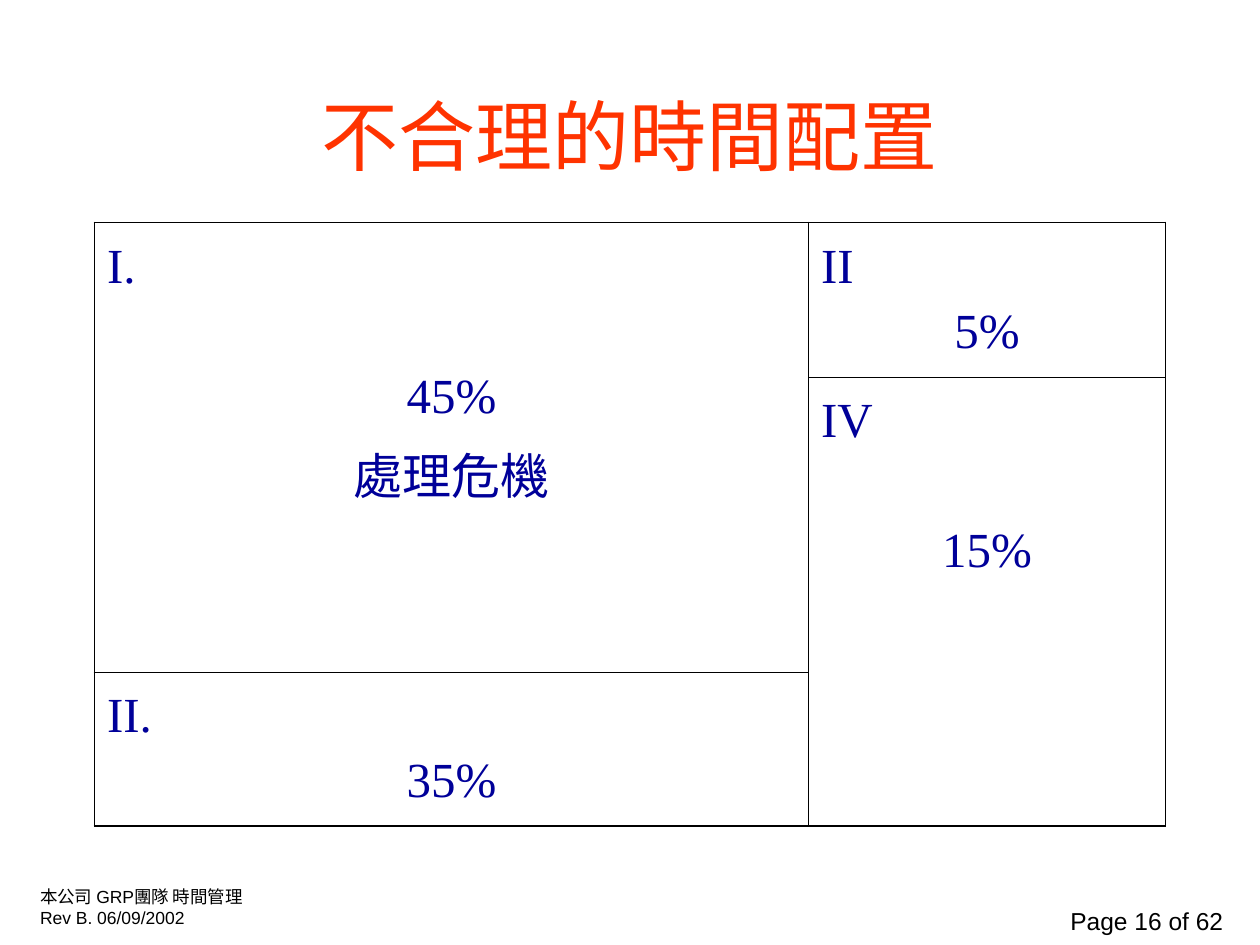
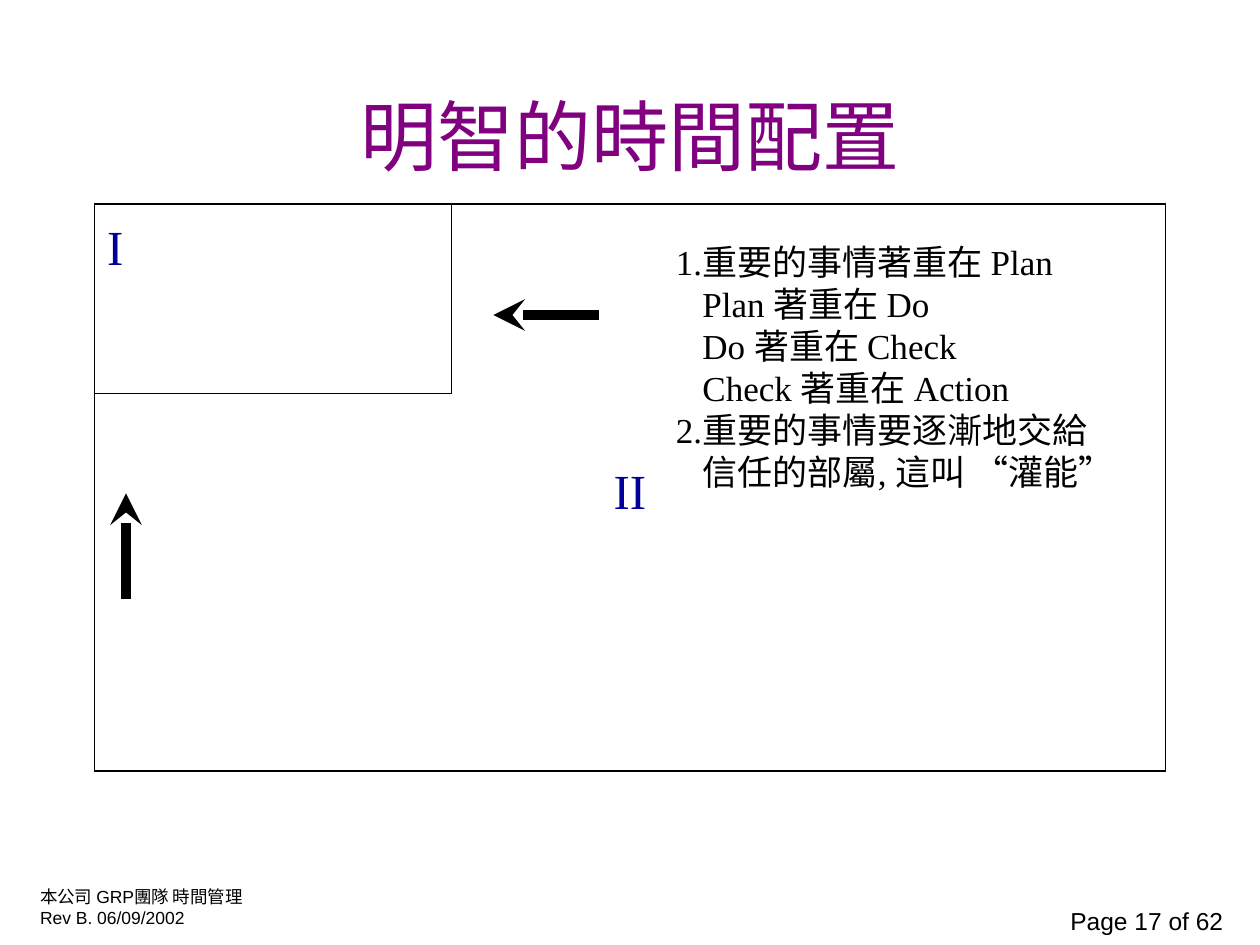
from lxml import etree
from pptx import Presentation, util as u
from pptx.dml.color import RGBColor
from pptx.enum import shapes, text
from pptx.oxml.ns import qn

deck = Presentation()
deck.slide_width, deck.slide_height = u.Inches(10), u.Inches(7.5)
unit = deck.slide_width / 120
left, wide = 9, 102
mid, right = text.PP_ALIGN.CENTER, text.PP_ALIGN.RIGHT
black, navy = "000000", "000099"
serif, sans = "Times New Roman", "Arial"
label = dict(size=28, name=serif, hue=navy)
gap = dict(space_before=u.Pt(37))
plain = "{2D5ABB26-0587-4C30-8999-92F81FD0307C}"


def hue(code):
    return RGBColor.from_string(code)


def write(frame, lines, size, name, hue_code=black, indent=0, **form):
    for i, (words, extra) in enumerate(lines):
        para = frame.paragraphs[0] if i == 0 else frame.add_paragraph()
        para.text = words
        look = {**form, **extra}
        shift = look.pop("shift", 0)
        if shift:
            para._p.get_or_add_pPr().set("marL", str(u.Inches(shift)))
        for key, val in look.items():
            setattr(para, key, val)
        para.font.size, para.font.name = u.Pt(size), name
        para.font.color.rgb = hue(hue_code)


center = dict(alignment=mid)
push = dict(shift=0.21)
notes = [
    ("1.重要的事情著重在 Plan", {}),
    ("Plan 著重在 Do", push),
    ("Do 著重在 Check", push),
    ("Check 著重在 Action", push),
    ("2.重要的事情要逐漸地交給", {}),
    ("信任的部屬, 這叫 “灌能”", push),
]

plans = [
    dict(page=16, title="不合理的時間配置", tint="FF3300", top=21.2,
         cols=[68, 34], rows=[14.7, 28.1, 14.7], zones=["AB", "AD", "CD"],
         spans=[(0, 0, 1, 0), (1, 1, 2, 1)],
         cells={(0, 0): [("I.", {}), ("45%", {**center, **gap}), ("處理危機", center)],
                (0, 1): [("II", {}), ("5%", center)],
                (1, 1): [("IV", {}), ("15%", {**center, **gap})],
                (2, 0): [("II.", {}), ("35%", center)]},
         arrows=[], boxes=[]),
    dict(page=17, title="明智的時間配置", tint="800080", top=19.45,
         cols=[wide / 3] * 3, rows=[18] * 3, zones=["ABB", "BBB", "BBB"],
         spans=[],
         cells={(0, 0): [("I", {})], (1, 1): [("II", center)]},
         arrows=[(12, 57, 12, 47), (57, 30, 47, 30)],
         boxes=[((63.2, 22.3, 46.4, 25.2), notes, 20, serif, black, False, {})]),
]

for plan in plans:
    slide = deck.slides.add_slide(deck.slide_layouts[6])
    foot = [("本公司 GRP團隊 時間管理", {}), ("Rev B. 06/09/2002", {})]
    frames = [
        ((100.7, 85.7, 17, 4), [(f"Page {plan['page']} of 62", {})], 14, sans, black, False, dict(alignment=right)),
        ((2.64, 83.8, 22.6, 5.3), foot, 10, sans, black, False, {}),
        ((left, 5.3, wide, 15), [(plan["title"], {})], 44, serif, plan["tint"], True, center),
    ]
    for spot, lines, size, name, tint, wrap, form in frames:
        frame = slide.shapes.add_textbox(*[round(v * unit) for v in spot]).text_frame
        frame.word_wrap = wrap
        if wrap:
            frame.vertical_anchor = text.MSO_ANCHOR.MIDDLE
        write(frame, lines, size, name, tint, **form)

    cols, rows, zones = plan["cols"], plan["rows"], plan["zones"]
    spot = (left, plan["top"], sum(cols), sum(rows))
    grid = slide.shapes.add_table(len(rows), len(cols), *[round(v * unit) for v in spot]).table
    grid.first_row = grid.horz_banding = False
    grid._tbl.tblPr.find(qn("a:tableStyleId")).text = plain
    for col, size in zip(grid.columns, cols):
        col.width = round(size * unit)
    for row, size in zip(grid.rows, rows):
        row.height = round(size * unit)
    for r, c, low, far in plan["spans"]:
        grid.cell(r, c).merge(grid.cell(low, far))

    for r in range(len(rows)):
        for c in range(len(cols)):
            cell = grid.cell(r, c)
            props = cell._tc.get_or_add_tcPr()
            sides = dict(lnL=(r, c - 1), lnR=(r, c + cell.span_width if cell.is_merge_origin else c + 1),
                         lnT=(r - 1, c), lnB=(r + cell.span_height if cell.is_merge_origin else r + 1, c))
            for side, (y, x) in sides.items():
                inner = 0 <= y < len(rows) and 0 <= x < len(cols)
                edge = etree.SubElement(props, qn("a:" + side))
                if inner and zones[y][x] == zones[r][c]:
                    etree.SubElement(edge, qn("a:noFill"))
                    continue
                edge.set("w", str(u.Pt(0.45 if inner else 1.08)))
                fill = etree.SubElement(edge, qn("a:solidFill"))
                etree.SubElement(fill, qn("a:srgbClr")).set("val", black)
            cell.fill.background()
            if (r, c) in plan["cells"]:
                write(cell.text_frame, plan["cells"][r, c], 28, serif, navy, line_spacing=1.2)
            if plan["cells"].get((r, c)) == [("II", center)]:
                cell.vertical_anchor = text.MSO_ANCHOR.MIDDLE

    for ends in plan["arrows"]:
        arrow = slide.shapes.add_connector(shapes.MSO_CONNECTOR.STRAIGHT, *[round(v * unit) for v in ends])
        arrow.line.width, arrow.line.color.rgb = u.Pt(6), hue(black)
        etree.SubElement(arrow.line._get_or_add_ln(), qn("a:tailEnd")).set("type", "stealth")
        etree.SubElement(arrow._element.spPr, qn("a:effectLst"))

    for spot, lines, size, name, tint, wrap, form in plan["boxes"]:
        frame = slide.shapes.add_textbox(*[round(v * unit) for v in spot]).text_frame
        frame.word_wrap = wrap
        write(frame, lines, size, name, tint, **form)

deck.save("out.pptx")
